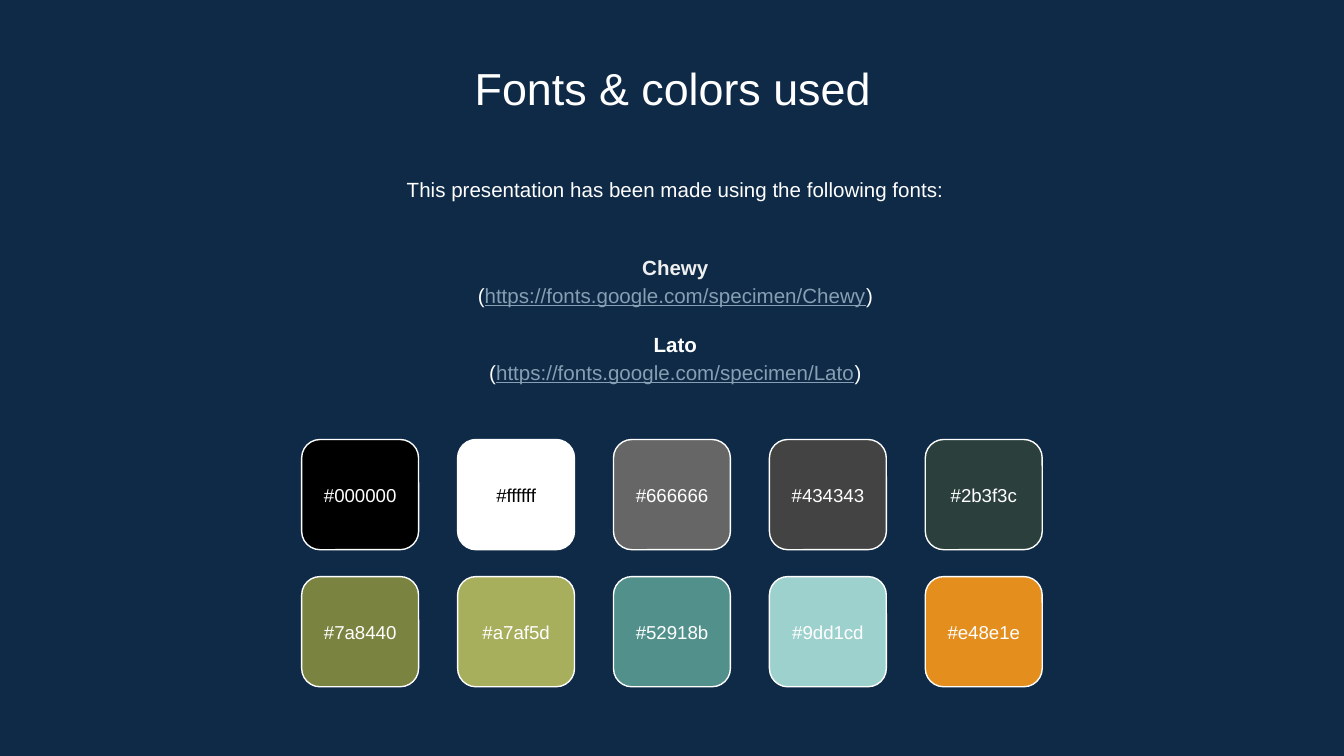
from dataclasses import dataclass

from pptx import Presentation
from pptx.dml.color import RGBColor
from pptx.enum.shapes import MSO_SHAPE
from pptx.enum.text import MSO_ANCHOR, PP_ALIGN
from pptx.slide import Slide
from pptx.util import Inches, Pt

BACKGROUND = "0E2A47"
WHITE = "FFFFFF"
LIGHT_GRAY = "EFEFEF"
LINK_COLOR = "869FB2"

SLIDE_WIDTH = 10
SLIDE_HEIGHT = SLIDE_WIDTH * 9 / 16

SWATCH_ROWS = [
    ["000000", "ffffff", "666666", "434343", "2b3f3c"],
    ["7a8440", "a7af5d", "52918b", "9dd1cd", "e48e1e"],
]
SWATCH_WIDTH, SWATCH_HEIGHT = 0.87, 0.82
COLUMN_STEP, ROW_STEP = 1.16, 1.02
SWATCH_TOP = 3.27
GRID_WIDTH = COLUMN_STEP * (len(SWATCH_ROWS[0]) - 1) + SWATCH_WIDTH
SWATCH_LEFT = (SLIDE_WIDTH - GRID_WIDTH) / 2
LABEL_HEIGHT = 0.48


@dataclass
class Box:
    left: float
    top: float
    width: float
    height: float

    def lengths(self) -> list[int]:
        return [Inches(value) for value in (self.left, self.top, self.width, self.height)]


@dataclass
class Run:
    text: str
    color: str = WHITE
    bold: bool = False
    underline: bool = False


@dataclass
class Line:
    runs: list[Run]
    space_before: float = 0


def rgb(color: str) -> RGBColor:
    return RGBColor.from_string(color.upper())


def add_text(slide: Slide, box: Box, lines: list[Line], size: float,
             line_spacing: float = 1.0, anchor: MSO_ANCHOR = MSO_ANCHOR.TOP) -> None:
    frame = slide.shapes.add_textbox(*box.lengths()).text_frame
    inset = Inches(0.1)
    frame_format = {
        "word_wrap": True, "vertical_anchor": anchor,
        "margin_left": inset, "margin_top": inset,
        "margin_right": inset, "margin_bottom": inset,
    }
    for name, value in frame_format.items():
        setattr(frame, name, value)
    for index, line in enumerate(lines):
        paragraph = frame.add_paragraph() if index else frame.paragraphs[0]
        paragraph.alignment = PP_ALIGN.CENTER
        paragraph.line_spacing = line_spacing
        if line.space_before:
            paragraph.space_before = Pt(line.space_before)
        for item in line.runs:
            run = paragraph.add_run()
            run.text = item.text
            run_format = {"name": "Arial", "size": Pt(size),
                          "bold": item.bold, "underline": item.underline}
            for name, value in run_format.items():
                setattr(run.font, name, value)
            run.font.color.rgb = rgb(item.color)


def font_lines(name: str, color: str, space_before: float = 0) -> list[Line]:
    """Return a font name in bold and its address in brackets below it."""
    address = Run(f"https://fonts.google.com/specimen/{name}", LINK_COLOR, underline=True)
    return [
        Line([Run(name, color, bold=True)], space_before),
        Line([Run("("), address, Run(")")]),
    ]


def add_swatch(slide: Slide, left: float, top: float, color: str) -> None:
    box = Box(left, top, SWATCH_WIDTH, SWATCH_HEIGHT)
    shape = slide.shapes.add_shape(MSO_SHAPE.ROUNDED_RECTANGLE, *box.lengths())
    shape.shadow.inherit = False
    shape.fill.solid()
    shape.fill.fore_color.rgb = rgb(color)
    shape.line.color.rgb = rgb(WHITE)
    shape.line.width = Pt(0.75)

    label_top = top + (SWATCH_HEIGHT - LABEL_HEIGHT) / 2
    label_color = "000000" if color == "ffffff" else WHITE
    add_text(slide, Box(left, label_top, SWATCH_WIDTH, LABEL_HEIGHT),
             [Line([Run(f"#{color}", label_color)])], 10, anchor=MSO_ANCHOR.MIDDLE)


def main() -> None:
    presentation = Presentation()
    presentation.slide_width = Inches(SLIDE_WIDTH)
    presentation.slide_height = Inches(SLIDE_HEIGHT)
    slide = presentation.slides.add_slide(presentation.slide_layouts[6])
    slide.background.fill.solid()
    slide.background.fill.fore_color.rgb = rgb(BACKGROUND)

    add_text(slide, Box(1.15, 0.35, 7.71, 0.53), [Line([Run("Fonts & colors used")])], 24)
    introduction = Run("This presentation has been made using the following fonts:")
    add_text(slide, Box(1.17, 1.19, 7.71, 0.48), [Line([introduction])], 11, 1.15)
    fonts = font_lines("Chewy", LIGHT_GRAY) + font_lines("Lato", WHITE, space_before=11)
    add_text(slide, Box(1.17, 1.68, 7.71, 1.37), fonts, 11, 1.15, MSO_ANCHOR.MIDDLE)

    for row, colors in enumerate(SWATCH_ROWS):
        for column, color in enumerate(colors):
            add_swatch(slide, SWATCH_LEFT + column * COLUMN_STEP,
                       SWATCH_TOP + row * ROW_STEP, color)

    presentation.save("out.pptx")


if __name__ == "__main__":
    main()
